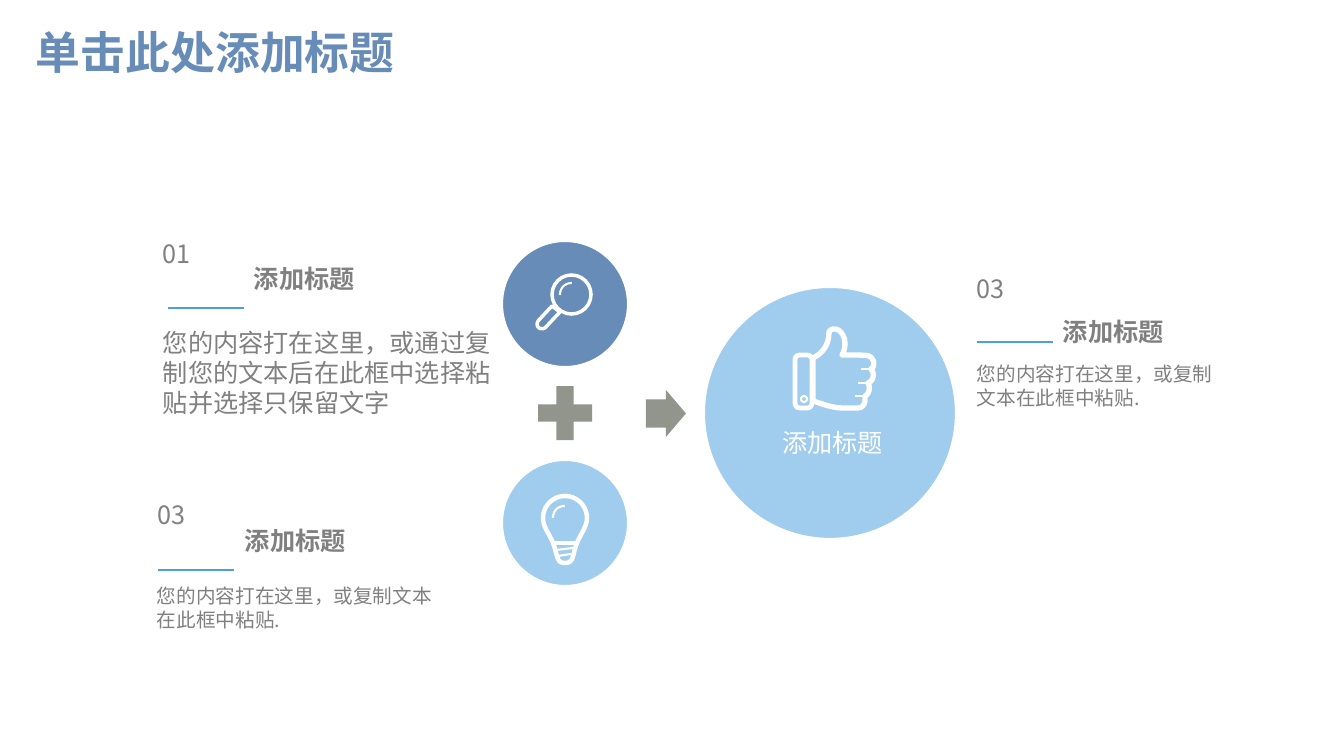
import pptx
import pptx.util
import pptx.dml.color
import pptx.enum.shapes
import pptx.enum.text
import pptx.oxml
import pptx.oxml.ns

PX = 914400 / 100.8
COLORS = {"blue": "668CB7", "sky": "A0CCED", "rule": "4D9FDD",
          "olive": "91958B", "gray": "808080", "white": "FFFFFF"}
CJK = "Noto Sans CJK SC"
MSO = pptx.enum.shapes.MSO_SHAPE
rgb = {k: pptx.dml.color.RGBColor.from_string(v) for k, v in COLORS.items()}

prs = pptx.Presentation()
prs.slide_width, prs.slide_height = round(1344 * PX), round(756 * PX)
s = prs.slides.add_slide(prs.slide_layouts[5])


def write(sp, box, text, size, color, bold=False, name=CJK, inset=5, wrap=True,
          anchor="TOP", align="LEFT", spacing=1.0):
    for k, v in zip(("left", "top", "width", "height"), box):
        setattr(sp, k, round(v * PX))
    tf = sp.text_frame
    frame = {"word_wrap": wrap, "auto_size": pptx.enum.text.MSO_AUTO_SIZE.NONE,
             "vertical_anchor": getattr(pptx.enum.text.MSO_ANCHOR, anchor),
             "margin_left": round(inset * PX), "margin_right": round(inset * PX),
             "margin_top": round(5 * PX), "margin_bottom": round(5 * PX)}
    for k, v in frame.items():
        setattr(tf, k, v)
    p = tf.paragraphs[0]
    para = {"alignment": getattr(pptx.enum.text.PP_ALIGN, align),
            "line_spacing": spacing, "space_before": pptx.util.Pt(0)}
    for k, v in para.items():
        setattr(p, k, v)
    r = p.add_run()
    r.text = text
    for k, v in {"size": pptx.util.Pt(size), "bold": bold, "name": name}.items():
        setattr(r.font, k, v)
    r.font.color.rgb = rgb[color]
    ea = pptx.oxml.parse_xml(f'<a:ea {pptx.oxml.ns.nsdecls("a")} typeface="{CJK}"/>')
    r.font._element.append(ea)


def stroke(width, closed, start, *segments):
    pts, (x, y) = [], start
    for seg in segments:
        if len(seg) == 2:
            pts.append(seg)
        else:
            x1, y1, x2, y2, x3, y3 = seg
            for i in range(1, 13):
                t = i / 12
                u = 1 - t
                a, b, c, d = u ** 3, 3 * u * u * t, 3 * u * t * t, t ** 3
                pts.append((a * x + b * x1 + c * x2 + d * x3,
                            a * y + b * y1 + c * y2 + d * y3))
        x, y = seg[-2:]
    fb = s.shapes.build_freeform(round(start[0] * PX), round(start[1] * PX))
    fb.add_line_segments([(round(a * PX), round(b * PX)) for a, b in pts], close=closed)
    sp = fb.convert_to_shape()
    sp.shadow.inherit = False
    sp.fill.background()
    sp.line.color.rgb = rgb["white"]
    sp.line.width = pptx.util.Pt(width)


write(s.shapes.title, (26, 23, 1159, 63), "单击此处添加标题", 32, "blue", True,
      "Montserrat", 10, anchor="MIDDLE", spacing=0.9)

short = "您的内容打在这里，或复制文本在此框中粘贴."
long = "您的内容打在这里，或通过复制您的文本后在此框中选择粘贴并选择只保留文字"
blocks = [
    ("01", (158, 233), (168, 308), (249, 258), (158, 322, 339, 102), long, 18),
    ("03", (153, 494), (158, 570), (240, 520), (152, 579, 293, 57), short, 14),
    ("03", (972, 268), (977, 342), (1058, 311), (972, 357, 264, 57), short, 14),
]
for number, num_at, (x, y), head_at, body_box, body, size in blocks:
    cells = [((*num_at, 40, 40), number, 18, False, False),
             ((*head_at, 112, 40), "添加标题", 18, True, False),
             (body_box, body, size, False, True)]
    for box, text, pt, bold, wrap in cells:
        write(s.shapes.add_textbox(0, 0, 0, 0), box, text, pt, "gray", bold, wrap=wrap)
    rule = s.shapes.add_connector(pptx.enum.shapes.MSO_CONNECTOR.STRAIGHT,
                                  *[round(v * PX) for v in (x, y, x + 76, y)])
    rule.line.color.rgb = rgb["rule"]
    rule.line.width = pptx.util.Pt(2)
    rule._element.spPr.append(
        pptx.oxml.parse_xml(f'<a:effectLst {pptx.oxml.ns.nsdecls("a")}/>'))

shapes = [
    (MSO.CROSS, (538, 386, 54, 54), "olive", 0, [0.34]),
    (MSO.RIGHT_ARROW, (646, 390, 40, 47), "olive", 0, [0.6, 0.5]),
    (MSO.OVAL, (502, 460, 126, 126), "sky", 1.5, []),
    (MSO.OVAL, (502, 241, 126, 126), "blue", 1.5, []),
    (MSO.OVAL, (704, 287, 252, 252), "sky", 1.5, []),
    (MSO.OVAL, (552, 275, 39, 39), None, 2.5, []),
    (MSO.ROUNDED_RECTANGLE, (795, 355, 17, 53), None, 3.4, [0.27]),
    (MSO.OVAL, (801, 396, 6, 6), None, 1.5, []),
]
for kind, box, fill, width, adjustments in shapes:
    sp = s.shapes.add_shape(kind, *[round(v * PX) for v in box])
    sp.shadow.inherit = False
    for i, v in enumerate(adjustments):
        sp.adjustments[i] = v
    if fill:
        sp.fill.solid()
        sp.fill.fore_color.rgb = rgb[fill]
    else:
        sp.fill.background()
    if width:
        sp.line.color.rgb = rgb["white"]
        sp.line.width = pptx.util.Pt(width)
    else:
        sp.line.fill.background()

bulb = [(543, 518), (543, 506, 553, 496, 565, 496), (577, 496, 587, 506, 587, 518),
        (587, 527, 580, 535, 577, 543), (572, 556, 574, 563, 565, 563),
        (556, 563, 558, 556, 553, 543), (550, 535, 543, 527, 543, 518)]
handle = [(552, 306), (539, 320), (535, 324, 538, 331, 545, 328), (560, 312)]
thumb = [(813, 358), (824, 353, 829, 343, 829, 333), (829, 331, 831, 329, 835, 329),
         (840, 329, 845, 336, 845, 343), (845, 349, 844, 351, 842, 355),
         (858, 355, 866, 355, 869, 356), (874, 358, 876, 366, 871, 369),
         (875, 373, 874, 381, 868, 383), (871, 388, 869, 394, 865, 396),
         (866, 404, 863, 408, 857, 408), (843, 408),
         (832, 408, 823, 404, 813, 401)]
for width, outline in [(3.2, bulb), (2.5, handle), (3.8, thumb)]:
    stroke(width, True, *outline)

details = [
    (3, (553, 543), (577, 543)),
    (1.5, (556, 550), (573, 548)),
    (1.5, (558, 556), (571, 554)),
    (1.5, (565, 506), (558, 506, 553, 511, 553, 518)),
    (1.5, (572, 283), (565, 283, 560, 288, 560, 295)),
    (1.8, (861, 369), (870, 369)),
    (1.8, (858, 383), (867, 383)),
    (1.8, (855, 396), (864, 396)),
]
for width, *mark in details:
    stroke(width, False, *mark)

write(s.shapes.add_textbox(0, 0, 0, 0), (709, 422, 247, 40), "添加标题", 18, "white",
      name="Montserrat", align="CENTER")

prs.save("out.pptx")
